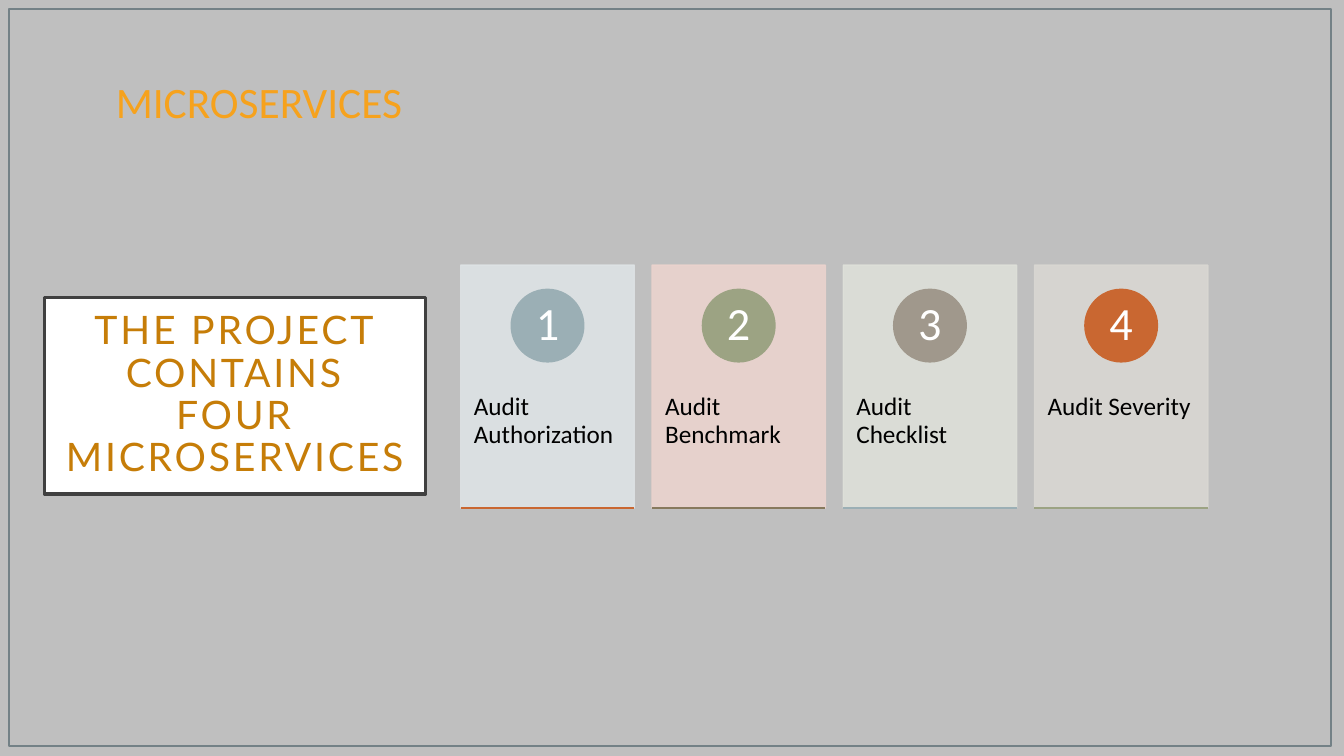
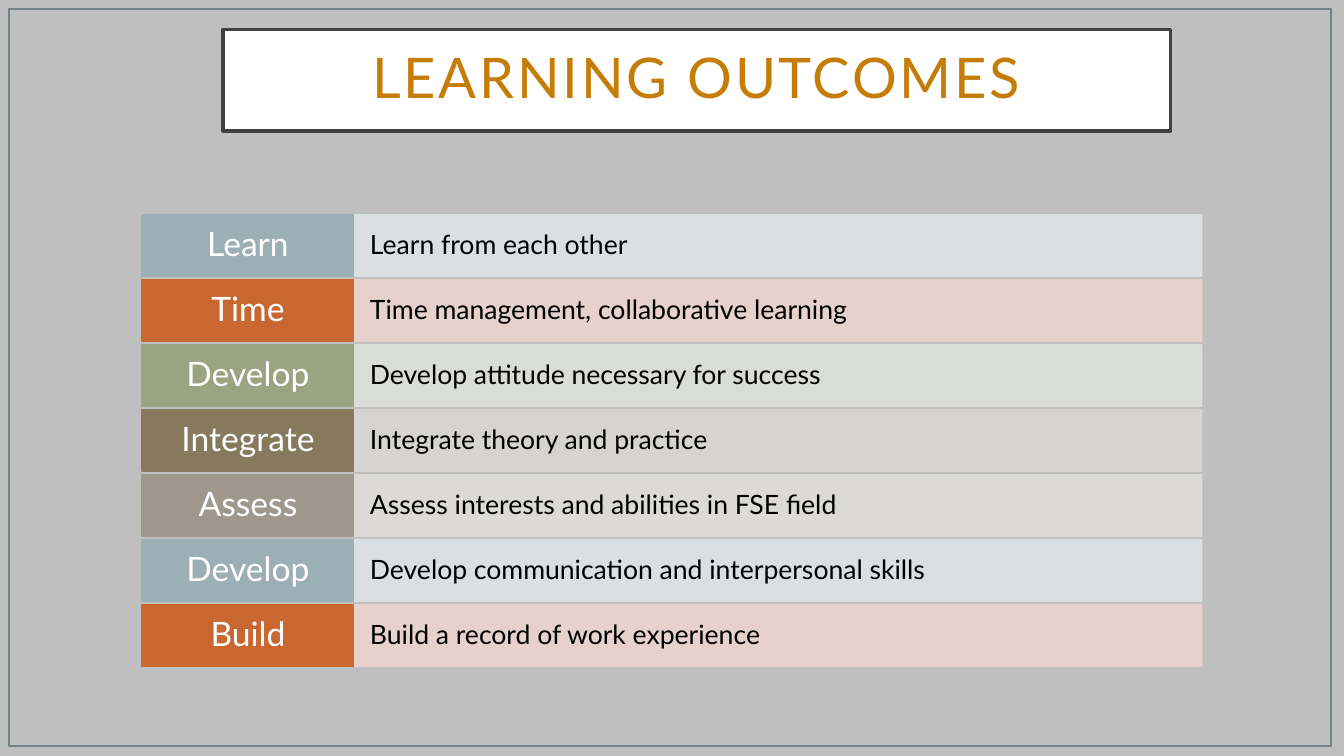
from lxml import etree
from pptx import Presentation
from pptx.dml.color import RGBColor
from pptx.enum import shapes, text
from pptx.oxml.ns import qn
from pptx.util import Inches, Pt

RECT = shapes.MSO_SHAPE.RECTANGLE
OVAL = shapes.MSO_SHAPE.OVAL
CENTER = text.PP_ALIGN.CENTER
LEFT = text.PP_ALIGN.LEFT

WHITE, BLACK = "FFFFFF", "000000"
BACKGROUND, FRAME, TITLE_BORDER = "BFBFBF", "738186", "404040"
TITLE_COLOR, HEADING_COLOR = "C67D08", "F6A21D"
BLUE, ORANGE, GREEN = "9BAFB5", "C96731", "9CA383"
BROWN, TAUPE = "87795D", "A0988C"
PALE_BLUE, PALE_PINK, PALE_GREEN = "DEE3E5", "EBD3CE", "DEE0D9"
PALE_BROWN, PALE_TAUPE = "D9D7D2", "DFDDDA"


def rgb(hex_color):
    return RGBColor.from_string(hex_color)


def set_opacity(shape, percent):
    """Apply one opacity to the solid fill and the outline."""
    for color in shape._element.spPr.iter(qn("a:srgbClr")):
        etree.SubElement(color, qn("a:alpha"), val=str(percent * 1000))


def add_panel(slide, kind, box, fill=None, line=None, width=1, opacity=100):
    panel = slide.shapes.add_shape(kind, *map(Inches, box))
    panel.shadow.inherit = False
    if fill:
        panel.fill.solid()
        panel.fill.fore_color.rgb = rgb(fill)
    else:
        panel.fill.background()
    panel.line.color.rgb = rgb(line or fill)
    panel.line.width = Pt(width)
    if opacity < 100:
        set_opacity(panel, opacity)
    return panel


def write(shape, words, size, color, font, align=CENTER, insets=(0, 0, 0, 0),
          anchor=text.MSO_ANCHOR.MIDDLE, wrap=True, spacing=0.9):
    """Fill a shape with one paragraph; insets run left, top, right, bottom."""
    frame = shape.text_frame
    frame.word_wrap = wrap
    frame.vertical_anchor = anchor
    (frame.margin_left, frame.margin_top,
     frame.margin_right, frame.margin_bottom) = map(Inches, insets)
    paragraph = frame.paragraphs[0]
    paragraph.text = words
    paragraph.alignment = align
    paragraph.line_spacing = spacing
    paragraph.font.size = Pt(size)
    paragraph.font.name = font
    paragraph.font.color.rgb = rgb(color)
    return paragraph


def add_framed_slide(prs):
    slide = prs.slides.add_slide(prs.slide_layouts[6])
    slide.background.fill.solid()
    slide.background.fill.fore_color.rgb = rgb(BACKGROUND)
    add_panel(slide, RECT, (0.09, 0.09, 13.11, 7.31), line=FRAME)
    return slide


def add_title(slide, box, words, size):
    title = add_panel(slide, RECT, box, WHITE, TITLE_BORDER, 2.5)
    paragraph = write(title, words, size, TITLE_COLOR, "Lato", insets=(0.2,) * 4)
    paragraph.runs[0].font._element.set("spc", "200")


def add_service_card(slide, box, number, name, pale, badge_color, base_color):
    left, top, width, height = box
    card = add_panel(slide, RECT, box, pale, opacity=90)
    write(card, name, 18, BLACK, "Calibri", LEFT, (0.13, 1.28, 0.13, 0.36),
          text.MSO_ANCHOR.TOP)

    diameter = 0.72
    badge = add_panel(slide, OVAL, (left + (width - diameter) / 2, top + 0.24,
                                    diameter, diameter), badge_color)
    write(badge, str(number), 33, WHITE, "Calibri", wrap=False)

    bottom = Inches(top + height)
    base = slide.shapes.add_connector(shapes.MSO_CONNECTOR.STRAIGHT, Inches(left),
                                      bottom, Inches(left + width), bottom)
    base.line.color.rgb = rgb(base_color)
    base.line.width = Pt(1)
    etree.SubElement(base._element.spPr, qn("a:effectLst"))


def add_service_cards(slide, box, services):
    left, top, width, height = box
    card_width = 1.72
    pitch = (width - card_width) / (len(services) - 1)
    for i, service in enumerate(services):
        card_box = (left + i * pitch, top, card_width, height)
        add_service_card(slide, card_box, i + 1, *service)


def add_outcome_rows(slide, box, outcomes):
    left, top, width, height = box
    verb_width, row_height = 2.1, 0.61
    pitch = (height - row_height) / (len(outcomes) - 1)
    for i, (verb, outcome, strong, pale) in enumerate(outcomes):
        y = top + i * pitch
        detail = add_panel(slide, RECT, (left + verb_width, y, width - verb_width,
                                         row_height), pale, opacity=90)
        write(detail, outcome, 19, BLACK, "Lato", LEFT, (0.16, 0.15, 0.16, 0.15))
        label = add_panel(slide, RECT, (left, y, verb_width, row_height), strong)
        write(label, verb, 24, WHITE, "Lato", insets=(0.11, 0.06, 0.11, 0.06))


def build_microservices(prs):
    slide = add_framed_slide(prs)
    add_title(slide, (0.44, 2.95, 3.78, 1.95),
              "THE PROJECT CONTAINS FOUR MICROSERVICES", 28)
    add_service_cards(slide, (4.57, 2.63, 7.41, 2.41), [
        ("Audit Authorization", PALE_BLUE, BLUE, ORANGE),
        ("Audit Benchmark", PALE_PINK, GREEN, BROWN),
        ("Audit Checklist", PALE_GREEN, TAUPE, BLUE),
        ("Audit Severity", PALE_BROWN, ORANGE, GREEN),
    ])
    heading = slide.shapes.add_textbox(*map(Inches, (1.05, 0.7, 4.86, 0.94)))
    write(heading, "MICROSERVICES", 31, HEADING_COLOR, "Calibri", LEFT,
          (0.1, 0.05, 0.1, 0.05), text.MSO_ANCHOR.TOP, spacing=1.0)


def build_learning_outcomes(prs):
    slide = add_framed_slide(prs)
    add_outcome_rows(slide, (1.41, 2.13, 10.51, 4.48), [
        ("Learn", "Learn from each other", BLUE, PALE_BLUE),
        ("Time", "Time management, collaborative learning", ORANGE, PALE_PINK),
        ("Develop", "Develop attitude necessary for success", GREEN, PALE_GREEN),
        ("Integrate", "Integrate theory and practice", BROWN, PALE_BROWN),
        ("Assess", "Assess interests and abilities in FSE field", TAUPE, PALE_TAUPE),
        ("Develop", "Develop communication and interpersonal skills", BLUE, PALE_BLUE),
        ("Build", "Build a record of work experience", ORANGE, PALE_PINK),
    ])
    add_title(slide, (2.21, 0.29, 9.4, 1.01), "LEARNING OUTCOMES", 40)


def main():
    prs = Presentation()
    prs.slide_width, prs.slide_height = Inches(13.33), Inches(7.5)
    build_microservices(prs)
    build_learning_outcomes(prs)
    prs.save("out.pptx")


if __name__ == "__main__":
    main()
